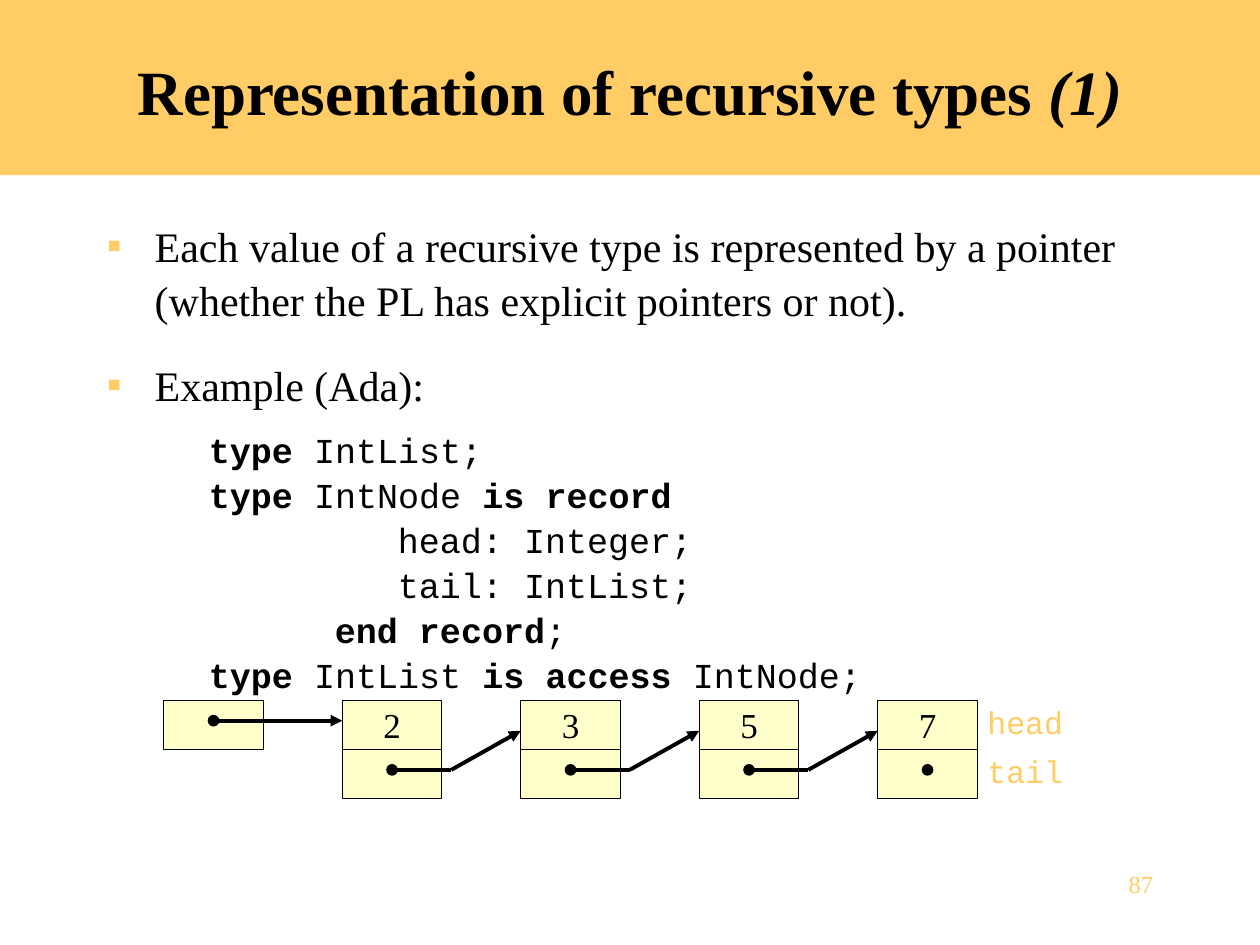
from lxml.etree import SubElement
from pptx import Presentation
from pptx.dml.color import RGBColor
from pptx.enum.shapes import MSO_CONNECTOR, MSO_SHAPE
from pptx.enum.text import MSO_ANCHOR, PP_ALIGN
from pptx.oxml.ns import qn
from pptx.util import Inches, Pt

ORANGE = RGBColor(0xFF, 0xCC, 0x66)
CREAM = RGBColor(0xFF, 0xFF, 0xCC)
BLACK = RGBColor(0, 0, 0)
SERIF, MONO = "Times New Roman", "Courier New"
WIDTH, HEIGHT = 10, 7.5
LEFT, TOP = 1.3, 5.56
CELL_WIDTH, CELL_HEIGHT = 0.79, 0.39
PITCH = 17 / 12
LINE_SPACING = 1.07

PLAIN, BOLD = {"bold": False}, {"bold": True}
CODE = [
    [("\t", {"size": Pt(18)}), ("type", BOLD), (" IntList;", PLAIN)],
    [("type", BOLD), (" IntNode ", PLAIN), ("is record", BOLD)],
    [("\t\t\thead: Integer;", PLAIN)],
    [("\t\t\ttail: IntList;", PLAIN)],
    [("\t\t", PLAIN), ("end record", BOLD), (";", PLAIN)],
    [("type", BOLD), (" IntList ", PLAIN), ("is access", BOLD), (" IntNode;", PLAIN)],
]


def column(index):
    """Return the left edge of a column of cells."""
    return LEFT + index * PITCH


def set_font(font, name, size, color=BLACK, **values):
    """Apply font values."""
    font.color.rgb = color
    for key, value in {"name": name, "size": Pt(size), **values}.items():
        setattr(font, key, value)


def write(para, lines, name, size, color=BLACK, **values):
    """Fill a paragraph with lines of (text, font values) spans."""
    para.line_spacing = LINE_SPACING
    for number, line in enumerate(lines):
        if number:
            para.add_line_break()
        for text, extra in line:
            span = para.add_run()
            span.text = text
            set_font(span.font, name, size, color, **values)
            for key, value in extra.items():
                setattr(span.font, key, value)


def prepare_frame(box, margins=(0, 0), anchor=MSO_ANCHOR.TOP):
    """Set wrapping, margins and anchor of a box and return its text frame."""
    frame = box.text_frame
    side, end = map(Inches, margins)
    values = {"word_wrap": True, "margin_left": side, "margin_right": side,
              "margin_top": end, "margin_bottom": end, "vertical_anchor": anchor}
    for key, value in values.items():
        setattr(frame, key, value)
    return frame


def add_text(page, area, text, name, size, color=BLACK, align=PP_ALIGN.LEFT, margins=(0, 0)):
    """Add a one-paragraph text box."""
    frame = prepare_frame(page.shapes.add_textbox(*map(Inches, area)), margins)
    para = frame.paragraphs[0]
    para.alignment = align
    write(para, [[(text, {})]], name, size, color)


def add_rectangle(page, area, fill, outlined=True):
    """Add a filled rectangle with an optional thin outline."""
    box = page.shapes.add_shape(MSO_SHAPE.RECTANGLE, *map(Inches, area))
    box.shadow.inherit = False
    box.fill.solid()
    box.fill.fore_color.rgb = fill
    if outlined:
        box.line.color.rgb = BLACK
        box.line.width = Pt(0.75)
    else:
        box.line.fill.background()
    return box


def add_line(page, start, end, **ends):
    """Add a thick line with the given headEnd and tailEnd types."""
    line = page.shapes.add_connector(MSO_CONNECTOR.STRAIGHT, *map(Inches, start + end))
    line.line.color.rgb = BLACK
    line.line.width = Pt(2.25)
    properties = line._element.spPr
    for tag, kind in ends.items():
        SubElement(properties.find(qn("a:ln")), qn(f"a:{tag}"), type=kind)
    SubElement(properties, qn("a:effectLst"))


def indent(para, left, first):
    """Set the paragraph margin and first-line indent in inches."""
    properties = para._p.get_or_add_pPr()
    properties.set("marL", str(Inches(left)))
    properties.set("indent", str(Inches(first)))
    return properties


def add_bullet(para, text):
    """Write a paragraph with a small square bullet."""
    properties = indent(para, 0.38, -0.38)
    color = SubElement(properties, qn("a:buClr"))
    SubElement(color, qn("a:srgbClr"), val=str(ORANGE))
    SubElement(properties, qn("a:buFont"), typeface=SERIF)
    SubElement(properties, qn("a:buChar"), char="▪")
    write(para, [[(text, {})]], SERIF, 24)


def add_title(page):
    """Add the title band."""
    band = add_rectangle(page, (0, 0, WIDTH, 1.39), ORANGE, outlined=False)
    para = prepare_frame(band, (0.1, 0.05), MSO_ANCHOR.MIDDLE).paragraphs[0]
    para.alignment = PP_ALIGN.CENTER
    spans = [("Representation of recursive types ", {}), ("(1)", {"italic": True})]
    write(para, [spans], SERIF, 36, bold=True)


def add_body(page):
    """Add the bullets and the code."""
    box = page.shapes.add_textbox(*map(Inches, (0.75, 1.67, 8.5, 5.08)))
    frame = prepare_frame(box, (0.1, 0.05))
    add_bullet(frame.paragraphs[0], "Each value of a recursive type is represented by a pointer "
               "(whether the PL has explicit pointers or not).")
    example = frame.add_paragraph()
    add_bullet(example, "Example (Ada):")
    example.space_before = Pt(18)
    code = frame.add_paragraph()
    code.level = 1
    indent(code, 0.81, -0.31)
    code.space_before = Pt(9)
    write(code, CODE, MONO, 20)


def add_node(page, index, value, last):
    """Add a list node with its value, and its pointer to the next node."""
    left, middle = column(index), column(index) + CELL_WIDTH / 2
    for row in range(2):
        area = (left, TOP + row * CELL_HEIGHT, CELL_WIDTH, CELL_HEIGHT)
        add_rectangle(page, area, CREAM)
    add_text(page, (left, TOP, CELL_WIDTH, 0.33), value, SERIF, 20, align=PP_ALIGN.CENTER)
    level = TOP + 0.55
    bend = (middle + (0.04 if last else 0.47), level)
    add_line(page, (middle, level), bend, headEnd="oval")
    if not last:
        add_line(page, bend, (column(index + 1), TOP + 0.24), tailEnd="triangle")


def add_list(page, values):
    """Add the linked list with its start pointer and field labels."""
    for index, value in enumerate(values, 1):
        add_node(page, index, value, index == len(values))
    add_rectangle(page, (LEFT, TOP, CELL_WIDTH, CELL_HEIGHT), CREAM)
    level = TOP + 0.16
    add_line(page, (LEFT + CELL_WIDTH / 2, level), (column(1), level),
             headEnd="oval", tailEnd="triangle")
    label_left = column(len(values)) + CELL_WIDTH + 0.08
    for row, label in enumerate(("head", "tail")):
        area = (label_left, TOP + row * CELL_HEIGHT, 0.71, 0.3)
        add_text(page, area, label, MONO, 18, ORANGE)


def main():
    """Build and save the slide."""
    deck = Presentation()
    deck.slide_width, deck.slide_height = Inches(WIDTH), Inches(HEIGHT)
    page = deck.slides.add_slide(deck.slide_layouts[6])
    add_title(page)
    add_body(page)
    add_list(page, "2357")
    add_text(page, (7.17, 6.83, 2.08, 0.5), "87", SERIF, 14, ORANGE,
             PP_ALIGN.RIGHT, (0.1, 0.05))
    deck.save("out.pptx")


if __name__ == "__main__":
    main()
